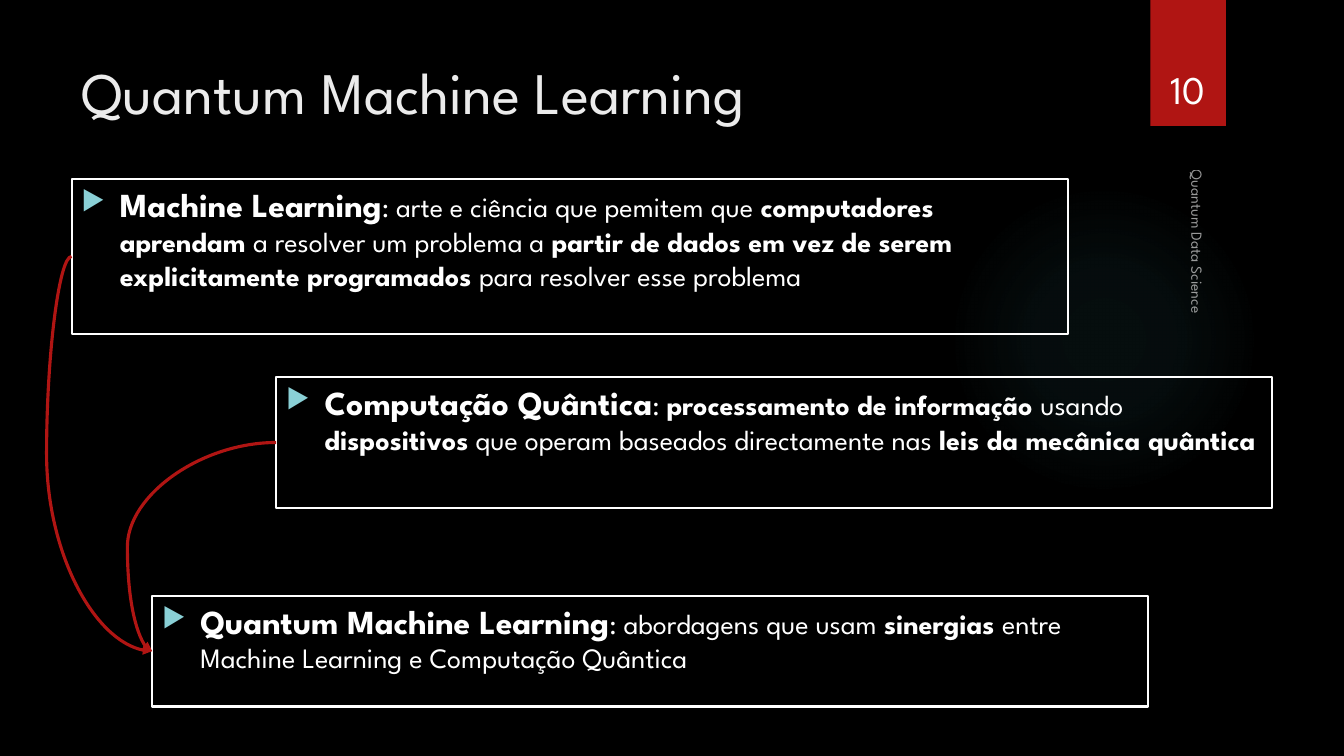
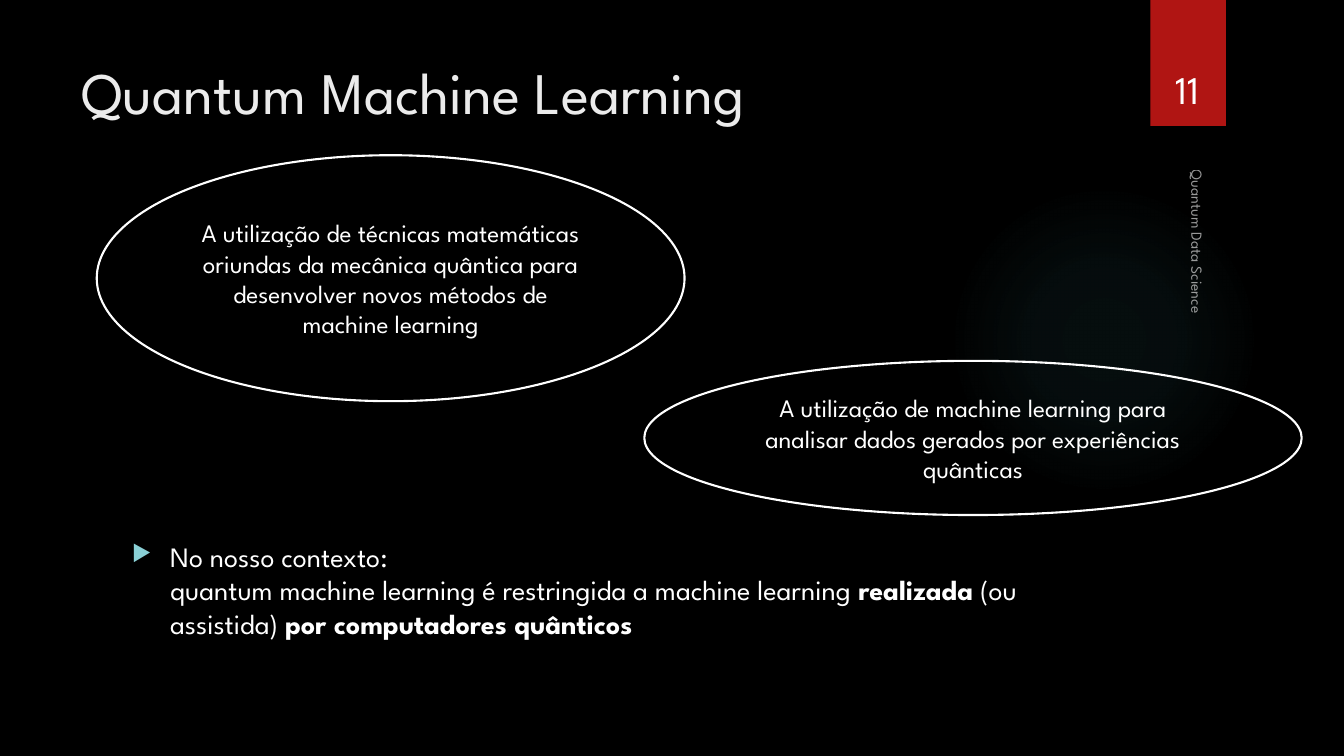
from lxml import etree
from pptx import Presentation
from pptx.dml.color import RGBColor
from pptx.enum import shapes, text
from pptx.oxml import ns, parse_xml
from pptx.util import Inches, Pt

FONT = "League Spartan"
BLACK = RGBColor(0x00, 0x00, 0x00)
WHITE = RGBColor(0xFF, 0xFF, 0xFF)
PALE = RGBColor(0xEB, 0xEB, 0xEB)
RED = RGBColor(0xB0, 0x15, 0x13)
TEAL = RGBColor(0x50, 0xB9, 0xC1)
AQUA = RGBColor(0x8A, 0xD0, 0xD6)
RECT = shapes.MSO_SHAPE.RECTANGLE
OVAL = shapes.MSO_SHAPE.OVAL
LEFT, MID = text.PP_ALIGN.LEFT, text.PP_ALIGN.CENTER
TOP, CORE, BASE = text.MSO_ANCHOR.TOP, text.MSO_ANCHOR.MIDDLE, text.MSO_ANCHOR.BOTTOM


def write(shape, words, size=20, lead=None, color=WHITE, align=LEFT, anchor=TOP, bullet=False, alpha=None):
    frame = shape.text_frame
    frame.word_wrap = True
    frame.vertical_anchor = anchor
    para = frame.paragraphs[0]
    para.alignment = align
    if bullet:
        para.space_before = Pt(10)
        props = para._p.get_or_add_pPr()
        props.set("marL", str(Inches(0.38)))
        props.set("indent", str(-Inches(0.38)))
        tint = etree.SubElement(props, ns.qn("a:buClr"))
        etree.SubElement(tint, ns.qn("a:srgbClr"), val=str(AQUA))
        etree.SubElement(props, ns.qn("a:buSzPct"), val="80000")
        etree.SubElement(props, ns.qn("a:buChar"), char="▶")
    for i, part in enumerate(words.split("**")):
        for j, line in enumerate(part.split("\n")):
            if j:
                para.add_line_break()
            if not line:
                continue
            run = para.add_run()
            run.text = line
            font = run.font
            font.name = FONT
            font.size = Pt(lead if lead and i == 1 else size)
            font.bold = i % 2 == 1
            font.color.rgb = color
            if alpha:
                tone = run._r.find(".//" + ns.qn("a:srgbClr"))
                etree.SubElement(tone, ns.qn("a:alpha"), val=str(alpha * 1000))


def draw(slide, kind, box, fill=None, line=None):
    shape = slide.shapes.add_shape(kind, *map(Inches, box))
    shape.shadow.inherit = False
    if fill is None:
        shape.fill.background()
    else:
        shape.fill.solid()
        shape.fill.fore_color.rgb = fill
    if line is None:
        shape.line.fill.background()
    else:
        shape.line.color.rgb = line
        shape.line.width = Pt(1.5)
    return shape


deck = Presentation()
deck.slide_width, deck.slide_height = Inches(13.33), Inches(7.5)
back = deck.slide_master.background.fill
back.solid()
back.fore_color.rgb = BLACK

stops = "".join(
    f'<a:gs pos="{pos}000"><a:srgbClr val="{TEAL}"><a:alpha val="{alpha}000"/></a:srgbClr></a:gs>'
    for pos, alpha in [(0, 7), (36, 6), (69, 0)]
)
glow = (
    f'<a:gradFill {ns.nsdecls("a")}><a:gsLst>{stops}</a:gsLst><a:path path="circle">'
    '<a:fillToRect l="50000" t="50000" r="50000" b="50000"/></a:path></a:gradFill>'
)

slides = []
for page in (10, 11):
    slide = deck.slides.add_slide(deck.slide_layouts[6])
    slides.append(slide)
    halo = draw(slide, OVAL, (9.41, 1.83, 3.08, 3.08))
    old = halo._element.spPr.find(ns.qn("a:noFill"))
    halo._element.spPr.replace(old, parse_xml(glow))
    draw(slide, RECT, (11.41, 0, 0.75, 1.25), fill=RED)
    labels = [
        ((0.71, 0.5, 10.29, 1.53), 0, "Quantum Machine Learning", dict(size=42, color=PALE)),
        ((11.32, 0.32, 0.92, 0.84), 0, str(page), dict(size=28, align=MID, anchor=BASE)),
        ((9.79, 3.53, 4.22, 0.33), 90, "Quantum Data Science", dict(size=11, anchor=BASE, alpha=60)),
    ]
    for box, turn, words, style in labels:
        label = slide.shapes.add_textbox(*map(Inches, box))
        label.rotation = turn
        write(label, words, **style)

first, second = slides

terms = [
    (0.71, 1.78, 1.53, "**Machine Learning**: arte e ciência que pemitem que **computadores aprendam **"
     "a resolver um problema a **partir de dados em vez de serem explicitamente programados **"
     "para resolver esse problema"),
    (2.74, 3.74, 1.3, "**Computação Quântica**: **processamento de informação **usando **dispositivos**"
     " que operam baseados directamente nas **leis da mecânica quântica**"),
    (1.51, 5.91, 1.1, "**Quantum Machine Learning**: abordagens que usam **sinergias **"
     "entre Machine Learning e Computação Quântica"),
]
for x, y, high, words in terms:
    write(draw(first, RECT, (x, y, 9.88, high), line=WHITE), words, lead=24, bullet=True)

goal = terms[-1]
for (x, y, high, words), bend in zip(terms, (-0.31, 1.2)):
    ends = (x, y + high / 2, goal[0], goal[1] + goal[2] / 2)
    curve = first.shapes.add_connector(shapes.MSO_CONNECTOR.CURVE, *map(Inches, ends))
    curve.line.color.rgb = RED
    curve.line.width = Pt(2.25)
    props = curve._element.spPr
    guides = props.find(ns.qn("a:prstGeom")).get_or_add_avLst()
    etree.SubElement(guides, ns.qn("a:gd"), name="adj1", fmla=f"val {round(bend * 100000)}")
    etree.SubElement(curve.line._get_or_add_ln(), ns.qn("a:tailEnd"), type="triangle")
    etree.SubElement(props, ns.qn("a:effectLst"))

note = second.shapes.add_textbox(*map(Inches, (1.21, 5.3, 9.78, 1.53)))
write(note, "No nosso contexto: \nquantum machine learning é restringida a machine learning **realizada**"
      " (ou assistida) **por computadores quânticos**", bullet=True)

views = [
    ((0.96, 1.54, 5.83, 2.44), "A utilização de técnicas matemáticas oriundas da mecânica quântica "
     "para desenvolver novos métodos de machine learning"),
    ((6.39, 3.58, 6.52, 1.53), "A utilização de machine learning para analisar dados gerados "
     "por experiências quânticas"),
]
for box, words in views:
    write(draw(second, OVAL, box, line=WHITE), words, size=18, align=MID, anchor=CORE)

deck.save("out.pptx")
